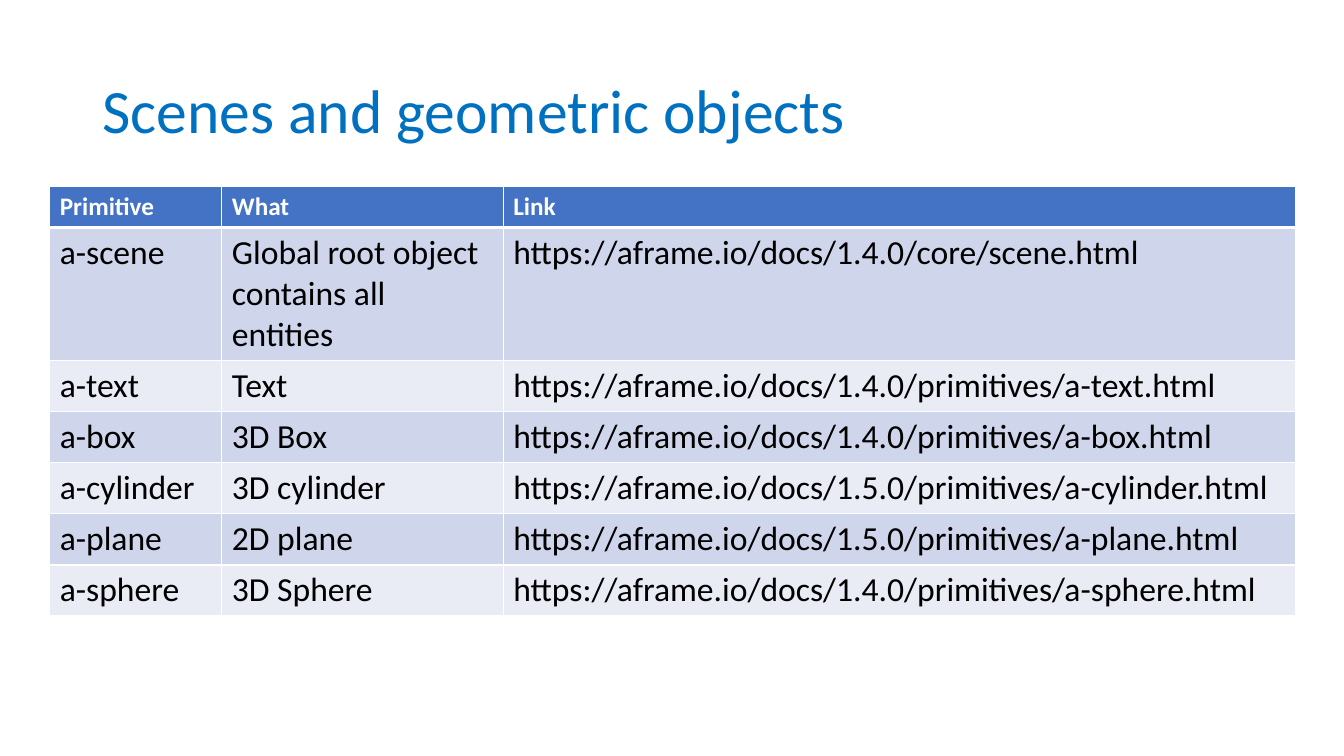
import pptx
import pptx.util
import pptx.dml.color
import pptx.enum.text
import pptx.oxml
import pptx.oxml.ns
from pptx.util import Pt

FONT = "Calibri"
DOCS = "https://aframe.io/docs/"
HEAD = ("Primitive", "What", "Link")
ITEMS = (
    ("a-scene", "Global root object contains all entities", "1.4.0/core/scene.html"),
    ("a-text", "Text", "1.4.0/primitives/a-text.html"),
    ("a-box", "3D Box", "1.4.0/primitives/a-box.html"),
    ("a-cylinder", "3D cylinder", "1.5.0/primitives/a-cylinder.html"),
    ("a-plane", "2D plane", "1.5.0/primitives/a-plane.html"),
    ("a-sphere", "3D Sphere", "1.4.0/primitives/a-sphere.html"),
)
WIDTHS = (123, 201, 566)
ROW = 29.2


def color(code):
    return pptx.dml.color.RGBColor.from_string(code)


def style(par, size, code, bold=False):
    for run in par.runs:
        run.font.name = FONT
        run.font.size = Pt(size)
        run.font.bold = bold
        run.font.color.rgb = color(code)


def add_title(slide, text):
    title = slide.shapes.title
    title.left, title.top = Pt(66), Pt(28.8)
    title.width, title.height = Pt(828), Pt(104.4)
    frame = title.text_frame
    frame.text = text
    frame.vertical_anchor = pptx.enum.text.MSO_ANCHOR.MIDDLE
    par = frame.paragraphs[0]
    par.alignment = pptx.enum.text.PP_ALIGN.LEFT
    par.line_spacing = 0.9
    style(par, 44, "0070C0")


def add_edges(cell, top, base):
    # Edge lines come before the fill in the cell properties
    props = cell._tc.get_or_add_tcPr()
    edges = (("lnL", 1), ("lnR", 1), ("lnT", top), ("lnB", base))
    for spot, (tag, width) in enumerate(edges):
        props.insert(spot, pptx.oxml.parse_xml(
            f'<a:{tag} {pptx.oxml.ns.nsdecls("a")} w="{Pt(width)}">'
            '<a:solidFill><a:srgbClr val="FFFFFF"/></a:solidFill>'
            f'</a:{tag}>'))


def fill_cell(cell, text, row):
    head = row == 0
    cell.text_frame.text = text
    par = cell.text_frame.paragraphs[0]
    if head:
        style(par, 18, "FFFFFF", True)
        shade = "4472C4"
    else:
        style(par, 24, "000000")
        shade = "CFD5EA" if row % 2 else "E9EBF5"
    cell.fill.solid()
    cell.fill.fore_color.rgb = color(shade)
    add_edges(cell, 3 if row == 1 else 1, 3 if head else 1)


def add_grid(slide, rows):
    grid = slide.shapes.add_table(
        len(rows), len(WIDTHS), Pt(35.5), Pt(133.2),
        Pt(sum(WIDTHS)), Pt(ROW * len(rows))).table
    for col, width in zip(grid.columns, WIDTHS):
        col.width = Pt(width)
    for row, texts in enumerate(rows):
        grid.rows[row].height = Pt(ROW)
        for col, text in enumerate(texts):
            fill_cell(grid.cell(row, col), text, row)


def main():
    deck = pptx.Presentation()
    deck.slide_width, deck.slide_height = Pt(960), Pt(540)
    # Title-only layout
    slide = deck.slides.add_slide(deck.slide_layouts[5])
    add_title(slide, "Scenes and geometric objects")
    # Table of primitives with full links
    rows = [HEAD] + [(name, what, DOCS + page) for name, what, page in ITEMS]
    add_grid(slide, rows)
    deck.save("out.pptx")


if __name__ == "__main__":
    main()
